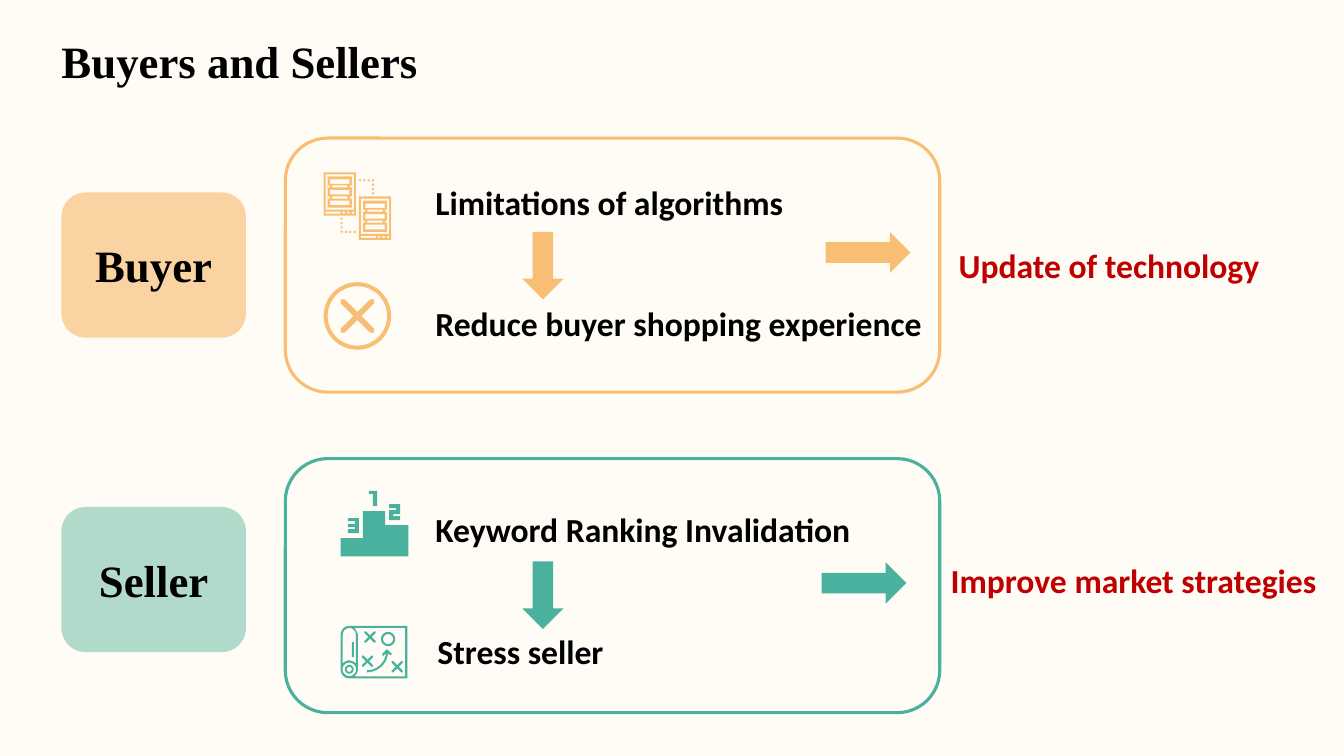
from math import cos, radians, sin

from pptx import Presentation
from pptx.dml.color import RGBColor
from pptx.enum.shapes import MSO_SHAPE as SHAPE
from pptx.enum.text import MSO_ANCHOR as ANCHOR, PP_ALIGN as ALIGN
from pptx.util import Inches, Pt

COLORS = {
    "page": "FEFCF4", "text": "000000", "outcome": "C00000",
    "orange": "F8BE74", "peach": "FBD3A2", "green": "49B19D", "mint": "B1DACB",
}
SERIF, SANS = "Times New Roman", "Calibri"
TITLE = "Buyers and Sellers"

# Positions are (left, top) in inches
ROWS = [
    {"role": "Buyer", "role_top": 1.91, "panel_top": 1.37,
     "accent": "orange", "tint": "peach",
     "points": [("Limitations of algorithms", 4.22, 1.76),
                ("Reduce buyer shopping experience", 4.22, 2.96)],
     "down_top": 2.3, "right_arrow": (8.19, 2.3),
     "outcome": ("Update of technology", 9.41, 2.38)},
    {"role": "Seller", "role_top": 5.03, "panel_top": 4.55,
     "accent": "green", "tint": "mint",
     "points": [("Keyword Ranking Invalidation", 4.22, 5),
                ("Stress seller", 4.24, 6.21)],
     "down_top": 5.57, "right_arrow": (8.15, 5.58),
     "outcome": ("Improve market strategies", 9.33, 5.51)},
]


def rgb(name):
    return RGBColor.from_string(COLORS[name])


def write(frame, text, size=24, font=SANS, color="text", align=ALIGN.LEFT,
          anchor=ANCHOR.TOP):
    frame.word_wrap = True
    frame.vertical_anchor = anchor
    para = frame.paragraphs[0]
    para.alignment = align
    span = para.add_run()
    span.text = text
    span.font.size = Pt(size)
    span.font.name = font
    span.font.bold = True
    span.font.color.rgb = rgb(color)


def add_text(page, text, left, top, width, **style):
    box = page.shapes.add_textbox(*map(Inches, (left, top, width, 0.5)))
    write(box.text_frame, text, **style)


def add_block(page, kind, left, top, width, height, fill=None, line=None):
    block = page.shapes.add_shape(kind, *map(Inches, (left, top, width, height)))
    block.shadow.inherit = False
    if fill:
        block.fill.solid()
        block.fill.fore_color.rgb = rgb(fill)
    else:
        block.fill.background()
    if line:
        block.line.color.rgb = rgb(line)
        block.line.width = Pt(2.25)
    else:
        block.line.fill.background()
    return block


def rect(left, top, width, height):
    right, bottom = left + width, top + height
    return [(left, top), (right, top), (right, bottom), (left, bottom)]


def arc(x, y, radius, start, end, steps=10):
    """Points along an arc, in degrees clockwise from the right."""
    angles = [radians(start + (end - start) * i / steps) for i in range(steps + 1)]
    return [(x + radius * cos(a), y + radius * sin(a)) for a in angles]


def circle(x, y, radius):
    return arc(x, y, radius, 0, 360, 48)[:-1]


def cross(x, y, reach, half):
    """Outline of a diagonal cross, turned a quarter four times."""
    outline = []
    dx, dy = 1, 1
    for _ in range(4):
        for px, py in ((reach, reach - 2 * half), (reach, reach),
                       (reach - 2 * half, reach), (0, 2 * half)):
            # Map the first quadrant (x right, y down) onto this quarter
            if dx * dy > 0:
                outline.append((x + dx * px, y + dy * py))
            else:
                outline.append((x + dx * py, y + dy * px))
        dx, dy = -dy, dx
    return outline


def server(left, top):
    slots = [0.07, 0.175, 0.28]
    bars = [0.13, 0.24]
    # Stepped frame around the three slots, mirrored on the left
    right_side = [(0.28, 0.04)]
    for bar in bars:
        right_side += [(0.28, bar), (0.26, bar), (0.26, bar + 0.02), (0.28, bar + 0.02)]
    right_side.append((0.28, 0.35))
    frame = right_side + [(0.32 - x, y) for x, y in reversed(right_side)]
    outlines = [rect(0, 0, 0.32, 0.43), rect(0.02, 0.02, 0.28, 0.35), frame]
    outlines += [rect(0.065, y, 0.19, 0.045) for y in slots]
    outlines += [rect(0.085, y, 0.15, 0.02) for y in bars]
    outlines += [rect(0.02, 0.39, 0.15, 0.02)]
    outlines += [rect(x, 0.39, 0.02, 0.02) for x in (0.19, 0.235, 0.28)]
    return [[(left + x, top + y) for x, y in outline] for outline in outlines]


def servers_icon():
    steps = [0.043 * i for i in range(4)]
    dots = [(3.56 + s, 1.78) for s in steps] + [(3.69, 1.78 + s) for s in steps[1:]]
    dots += [(3.38, 2.16 + s) for s in steps] + [(3.38 + s, 2.29) for s in steps[1:]]
    return (server(3.21, 1.71) + server(3.56, 1.95)
            + [rect(x, y, 0.02, 0.02) for x, y in dots])


def failure_icon():
    x, y = 3.545, 3.135
    return [circle(x, y, 0.335), circle(x, y, 0.295), cross(x, y, 0.165, 0.02)]


def podium_icon():
    one = [(3.66, 4.87), (3.74, 4.87), (3.74, 5.02), (3.7, 5.02), (3.7, 4.9), (3.66, 4.9)]
    two = [(3.86, 5), (3.97, 5), (3.97, 5.1), (3.9, 5.1), (3.9, 5.12), (3.97, 5.12),
           (3.97, 5.16), (3.86, 5.16), (3.86, 5.06), (3.93, 5.06), (3.93, 5.04), (3.86, 5.04)]
    three = [(3.45, 5.14), (3.56, 5.14), (3.56, 5.29), (3.45, 5.29), (3.45, 5.25),
             (3.52, 5.25), (3.52, 5.23), (3.45, 5.23), (3.45, 5.2), (3.52, 5.2),
             (3.52, 5.17), (3.45, 5.17)]
    stand = [(3.6, 5.07), (3.82, 5.07), (3.82, 5.21), (4.05, 5.21), (4.05, 5.52),
             (3.38, 5.52), (3.38, 5.34), (3.6, 5.34)]
    return [one, two, three, stand]


def strategy_icon():
    sheet = (arc(3.465, 6.295, 0.085, 270, 180) + arc(3.465, 6.645, 0.085, 180, 90)
             + [(4.04, 6.73), (4.04, 6.21)])
    field = ([(3.52, 6.23), (4.02, 6.23), (4.02, 6.71), (3.52, 6.71)]
             + arc(3.465, 6.64, 0.085, 50, 0) + [(3.55, 6.29)])
    roll = (arc(3.465, 6.295, 0.065, 180, 360)
            + [(3.53, 6.58), (3.5, 6.56), (3.46, 6.55), (3.43, 6.56), (3.4, 6.58)])
    arrow = (arc(3.64, 6.46, 0.19, 90, 6)
             + [(3.8, 6.51), (3.79, 6.49), (3.84, 6.44), (3.89, 6.49), (3.87, 6.5)]
             + arc(3.64, 6.46, 0.21, 6, 90))
    rings = [circle(3.465, 6.64, r) for r in (0.067, 0.043, 0.025)]
    rings += [circle(3.85, 6.34, r) for r in (0.07, 0.05)]
    crosses = [cross(x, y, 0.055, 0.008)
               for x, y in ((3.94, 6.615), (3.645, 6.56), (3.67, 6.32))]
    return [sheet, field, roll, arrow, rect(3.49, 6.37, 0.02, 0.15)] + rings + crosses


def add_icon(page, outlines, color):
    """Draw all outlines as one shape; nested outlines become holes."""
    units = [[(round(x * 1000), round(y * 1000)) for x, y in o] for o in outlines]
    builder = page.shapes.build_freeform(*units[0][0], scale=Inches(1) / 1000)
    for index, points in enumerate(units):
        if index:
            builder.move_to(*points[0])
        builder.add_line_segments(points[1:], close=True)
    icon = builder.convert_to_shape()
    icon.shadow.inherit = False
    icon.fill.solid()
    icon.fill.fore_color.rgb = rgb(color)
    icon.line.fill.background()


def add_row(page, row):
    accent = row["accent"]
    add_block(page, SHAPE.ROUNDED_RECTANGLE, 2.83, row["panel_top"], 6.49, 2.52, line=accent)
    role = add_block(page, SHAPE.ROUNDED_RECTANGLE, 0.61, row["role_top"], 1.83, 1.44,
                     fill=row["tint"])
    write(role.text_frame, row["role"], size=32, font=SERIF, align=ALIGN.CENTER,
          anchor=ANCHOR.MIDDLE)
    for text, left, top in row["points"]:
        add_text(page, text, left, top, 5.1)
    add_block(page, SHAPE.DOWN_ARROW, 5.18, row["down_top"], 0.41, 0.67, fill=accent)
    add_block(page, SHAPE.RIGHT_ARROW, *row["right_arrow"], 0.84, 0.41, fill=accent)
    add_text(page, *row["outcome"], 3.9, color="outcome")


def main():
    deck = Presentation()
    deck.slide_width, deck.slide_height = Inches(13.33), Inches(7.5)
    page = deck.slides.add_slide(deck.slide_layouts[5])
    page.background.fill.solid()
    page.background.fill.fore_color.rgb = rgb("page")

    title = page.shapes.title
    title.left, title.top, title.width, title.height = map(Inches, (0.51, 0.28, 5.05, 0.64))
    write(title.text_frame, TITLE, size=32, font=SERIF, anchor=ANCHOR.MIDDLE)

    for row in ROWS:
        add_row(page, row)
    for outlines, color in ((servers_icon(), "orange"), (failure_icon(), "orange"),
                            (podium_icon(), "green"), (strategy_icon(), "green")):
        add_icon(page, outlines, color)
    deck.save("out.pptx")


if __name__ == "__main__":
    main()
